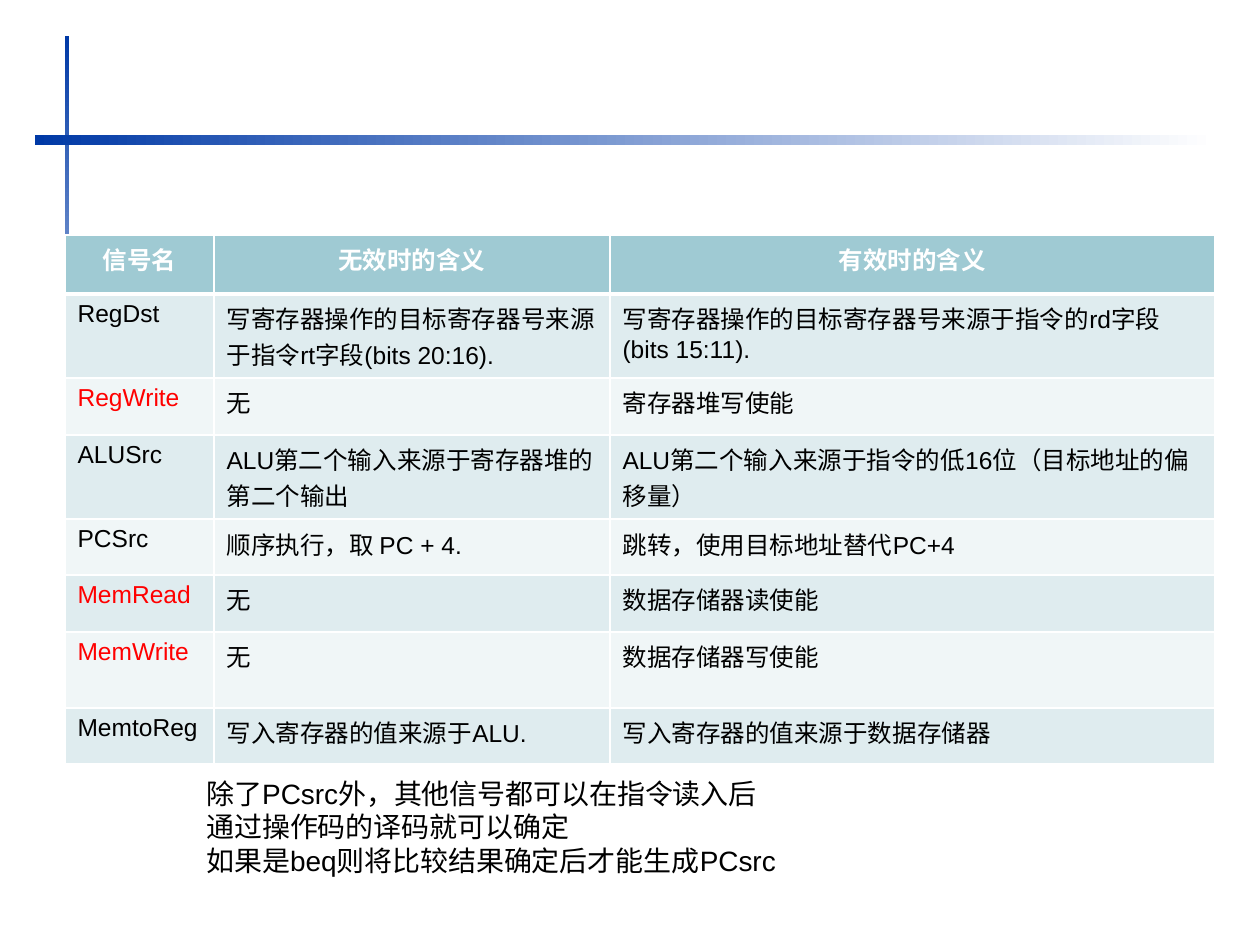
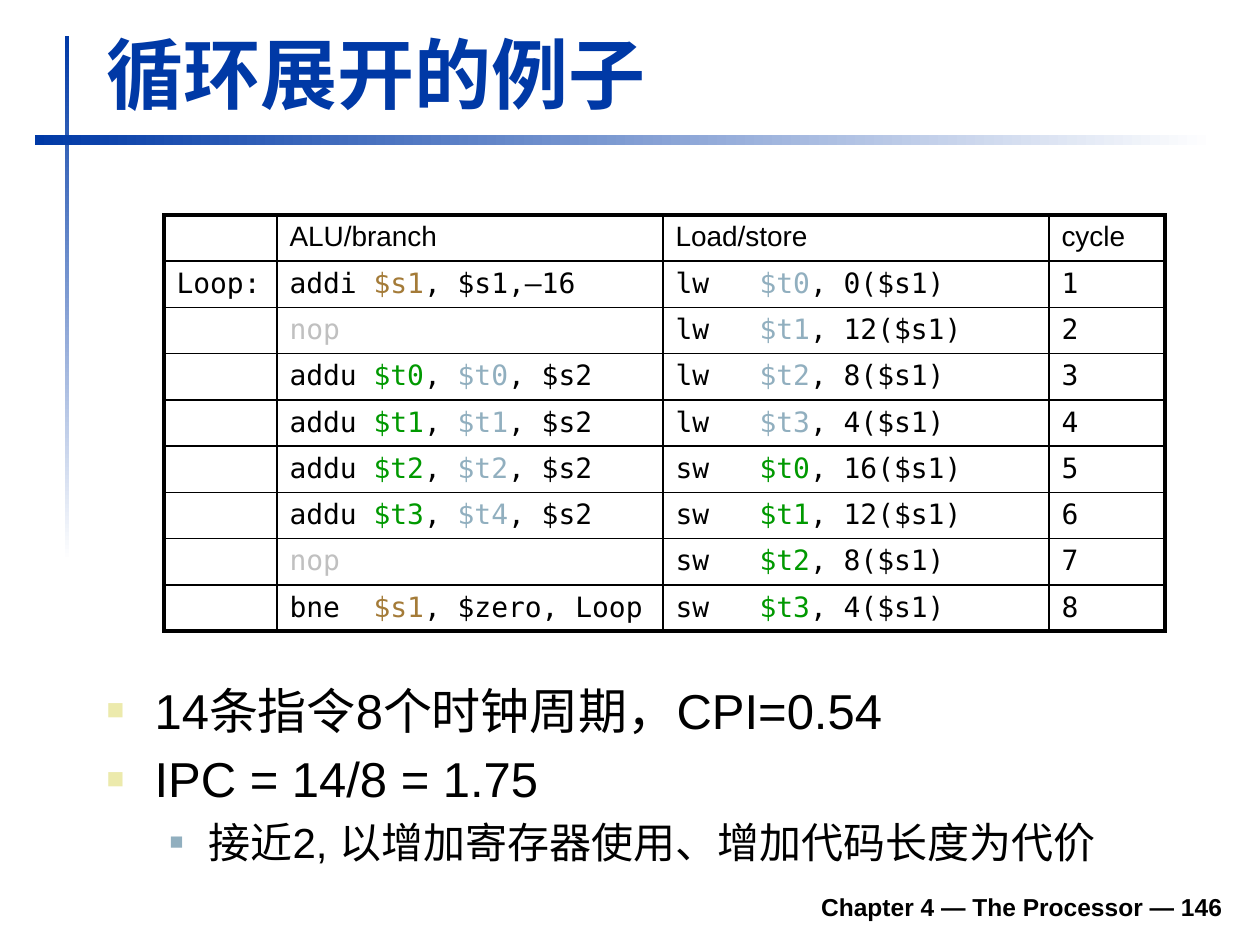
from collections import namedtuple

from lxml.etree import SubElement
from pptx import Presentation
from pptx.dml.color import RGBColor
from pptx.enum.shapes import MSO_SHAPE
from pptx.enum.text import MSO_ANCHOR, MSO_AUTO_SIZE, PP_ALIGN
from pptx.oxml.ns import qn
from pptx.util import Emu, Pt

Box = namedtuple("Box", "left top width height")
Span = namedtuple("Span", "text colour")
Borders = namedtuple("Borders", "colour outer header inner")

PX = 914400 / 126
SANS = "Arial"
MONO = "DejaVu Sans Mono"

BLUE = "0039A6"
WHITE = "FFFFFF"
BLACK = "000000"
RED = "FF0000"
GREY = "C0C0C0"
BROWN = "A47B38"
STEEL = "91AFBF"
GREEN = "009900"
SAND = "ECEAAC"
HEADER_FILL = "9FCAD3"
BAND_FILLS = ["DFECEF", "F0F6F7"]

BANDS = [(Box(65, 36, 4, 525), 270), (Box(35, 135, 1180, 10), 0)]

SIGNALS = [
    ("信号名", "无效时的含义", "有效时的含义"),
    ("RegDst", "写寄存器操作的目标寄存器号来源于指令rt字段(bits 20:16).",
     "写寄存器操作的目标寄存器号来源于指令的rd字段(bits 15:11)."),
    ("RegWrite", "无", "寄存器堆写使能"),
    ("ALUSrc", "ALU第二个输入来源于寄存器堆的第二个输出",
     "ALU第二个输入来源于指令的低16位（目标地址的偏移量）"),
    ("PCSrc", "顺序执行，取 PC + 4.", "跳转，使用目标地址替代PC+4"),
    ("MemRead", "无", "数据存储器读使能"),
    ("MemWrite", "无", "数据存储器写使能"),
    ("MemtoReg", "写入寄存器的值来源于ALU.", "写入寄存器的值来源于数据存储器"),
]
SIGNAL_ROWS = [59, 84, 57, 84, 56, 57, 76, 56]
ENABLE_SIGNALS = {"RegWrite", "MemRead", "MemWrite"}

SCHEDULE_HEADER = ["", "ALU/branch", "Load/store", "cycle"]
SCHEDULE = [
    ("addi $s1, $s1,–16", "lw   $t0, 0($s1)"),
    ("nop", "lw   $t1, 12($s1)"),
    ("addu $t0, $t0, $s2", "lw   $t2, 8($s1)"),
    ("addu $t1, $t1, $s2", "lw   $t3, 4($s1)"),
    ("addu $t2, $t2, $s2", "sw   $t0, 16($s1)"),
    ("addu $t3, $t4, $s2", "sw   $t1, 12($s1)"),
    ("nop", "sw   $t2, 8($s1)"),
    ("bne  $s1, $zero, Loop", "sw   $t3, 4($s1)"),
]
REGISTER_COLOURS = {
    "addi": [BROWN],
    "bne": [BROWN],
    "addu": [GREEN, STEEL],
    "lw": [STEEL],
    "sw": [GREEN],
}


def px(length):
    return Emu(round(length * PX))


def rgb(colour):
    return RGBColor.from_string(colour)


def place(box):
    return [px(length) for length in box]


def write(para, content, size=14, colour=BLACK, font=SANS, bold=False, align=None):
    spans = [Span(content, colour)] if isinstance(content, str) else content
    para.alignment = align
    for span in spans:
        if not span.text:
            continue
        run = para.add_run()
        run.text = span.text
        run.font.name = font
        run.font.size = Pt(size)
        run.font.bold = bold
        run.font.color.rgb = rgb(span.colour)
    if not para.runs:
        SubElement(para._p, qn("a:endParaRPr"), sz=str(size * 100))


def add_bands(page):
    for box, angle in BANDS:
        band = page.shapes.add_shape(MSO_SHAPE.RECTANGLE, *place(box))
        band.shadow.inherit = False
        band.line.fill.background()
        band.fill.gradient()
        band.fill.gradient_angle = angle
        for stop, colour in zip(band.fill.gradient_stops, (BLUE, WHITE)):
            stop.color.rgb = rgb(colour)


def add_bullet(para, colour, percent, margin, hanging):
    properties = para._p.get_or_add_pPr()
    properties.set("marL", str(px(margin)))
    properties.set("indent", str(px(-hanging)))
    bullet_colour = SubElement(properties, qn("a:buClr"))
    SubElement(bullet_colour, qn("a:srgbClr"), val=colour)
    SubElement(properties, qn("a:buSzPct"), val=str(percent * 1000))
    SubElement(properties, qn("a:buFont"), typeface=SANS)
    SubElement(properties, qn("a:buChar"), char="■")


def set_borders(cell, colour, **widths):
    properties = cell._tc.get_or_add_tcPr()
    for side in "LRTB":
        line = SubElement(properties, qn(f"a:ln{side}"), w=str(Pt(widths[side])))
        fill = SubElement(line, qn("a:solidFill"))
        SubElement(fill, qn("a:srgbClr"), val=colour)


def add_grid(page, box, columns, rows, borders):
    frame = page.shapes.add_table(len(rows), len(columns), *place(box))
    table = frame.table
    table.first_row = table.horz_banding = False
    for column, width in zip(table.columns, columns):
        column.width = px(width)
    for row, height in zip(table.rows, rows):
        row.height = px(height)
    horizontal = [borders.outer, borders.header]
    horizontal += [borders.inner] * (len(rows) - 2) + [borders.outer]
    vertical = [borders.outer] + [borders.inner] * (len(columns) - 1) + [borders.outer]
    for r in range(len(rows)):
        for c in range(len(columns)):
            set_borders(table.cell(r, c), borders.colour,
                        L=vertical[c], R=vertical[c + 1],
                        T=horizontal[r], B=horizontal[r + 1])
    return table


def add_signal_table(page, box):
    table = add_grid(page, box, [149, 396, 605], SIGNAL_ROWS, Borders(WHITE, 1, 3, 1))
    for r, texts in enumerate(SIGNALS):
        for c, text in enumerate(texts):
            cell = table.cell(r, c)
            cell.fill.solid()
            para = cell.text_frame.paragraphs[0]
            if r == 0:
                cell.fill.fore_color.rgb = rgb(HEADER_FILL)
                write(para, text, colour=WHITE, bold=True, align=PP_ALIGN.CENTER)
            else:
                cell.fill.fore_color.rgb = rgb(BAND_FILLS[(r - 1) % 2])
                write(para, text, colour=RED if text in ENABLE_SIGNALS else BLACK)


def colour_registers(code):
    if code == "nop":
        return [Span(code, GREY)]
    spans = []
    for colour in REGISTER_COLOURS[code.split()[0]]:
        before, _, after = code.partition("$")
        spans += [Span(before, BLACK), Span("$" + after[:2], colour)]
        code = after[2:]
    return spans + [Span(code, BLACK)]


def add_schedule_table(page, box):
    lines = [SCHEDULE_HEADER]
    for cycle, (alu, memory) in enumerate(SCHEDULE, 1):
        label = "Loop:" if cycle == 1 else ""
        lines.append([label, colour_registers(alu), colour_registers(memory), str(cycle)])
    table = add_grid(page, box, [113, 386, 386, 116], [46] * len(lines),
                     Borders(BLACK, 2.25, 1.5, 1))
    for r, line in enumerate(lines):
        for c, content in enumerate(line):
            cell = table.cell(r, c)
            cell.fill.background()
            write(cell.text_frame.paragraphs[0], content, size=16,
                  font=MONO if r else SANS)


def add_note(page, box):
    frame = page.shapes.add_textbox(*place(box)).text_frame
    frame.word_wrap = False
    first = frame.paragraphs[0]
    write(first, "除了PCsrc外，其他信号都可以在指令读入后", size=16)
    first.add_line_break()
    write(first, "通过操作码的译码就可以确定", size=16)
    write(frame.add_paragraph(), "如果是beq则将比较结果确定后才能生成PCsrc", size=16)


def add_footer(page, box):
    frame = page.shapes.add_textbox(*place(box)).text_frame
    frame.word_wrap = True
    frame.vertical_anchor = MSO_ANCHOR.BOTTOM
    write(frame.paragraphs[0], "Chapter 4 — The Processor — 146", bold=True,
          align=PP_ALIGN.RIGHT)


def move_placeholder(holder, box, anchor):
    holder.left, holder.top, holder.width, holder.height = place(box)
    frame = holder.text_frame
    frame.auto_size = MSO_AUTO_SIZE.NONE
    frame.word_wrap = True
    frame.vertical_anchor = anchor
    return frame


def set_title(page, box, text):
    frame = move_placeholder(page.shapes.title, box, MSO_ANCHOR.BOTTOM)
    write(frame.paragraphs[0], text, size=44, colour=BLUE, bold=True,
          align=PP_ALIGN.LEFT)


def set_conclusions(page, box):
    frame = move_placeholder(page.placeholders[1], box, MSO_ANCHOR.TOP)
    conclusions = [
        (0, "14条指令8个时钟周期，CPI=0.54"),
        (0, "IPC = 14/8 = 1.75"),
        (1, "接近2, 以增加寄存器使用、增加代码长度为代价"),
    ]
    styles = [(28, SAND, 60, 48, 48), (24, STEEL, 55, 102, 39)]
    for index, (level, text) in enumerate(conclusions):
        para = frame.add_paragraph() if index else frame.paragraphs[0]
        size, *bullet = styles[level]
        para.level = level
        add_bullet(para, *bullet)
        para.space_before = Pt(size * 0.2 if index else 0)
        write(para, text, size=size, align=PP_ALIGN.LEFT)


def build_signal_page(deck):
    page = deck.slides.add_slide(deck.slide_layouts[6])
    add_bands(page)
    add_signal_table(page, Box(65, 235, 1150, sum(SIGNAL_ROWS)))
    add_note(page, Box(194, 770, 615, 115))


def build_unrolling_page(deck):
    page = deck.slides.add_slide(deck.slide_layouts[1])
    add_bands(page)
    add_footer(page, Box(233, 879, 1002, 49))
    set_title(page, Box(94, 20, 1138, 105), "循环展开的例子")
    set_conclusions(page, Box(94, 674, 1140, 185))
    add_schedule_table(page, Box(164, 215, 1001, 414))


def main():
    deck = Presentation()
    deck.slide_width, deck.slide_height = px(1260), px(945)
    build_signal_page(deck)
    build_unrolling_page(deck)
    deck.save("out.pptx")


if __name__ == "__main__":
    main()
